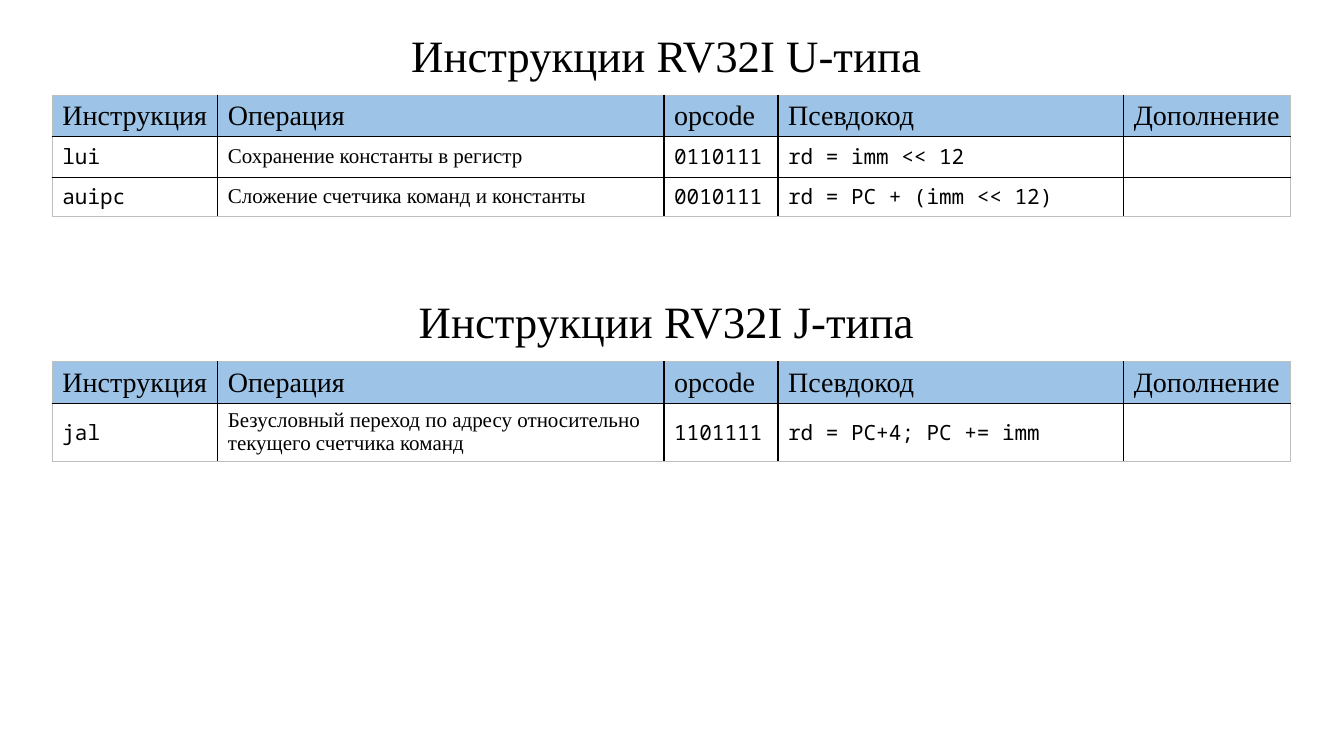
from lxml.etree import SubElement
from pptx import Presentation
from pptx.dml.color import RGBColor
from pptx.enum.text import MSO_ANCHOR, PP_ALIGN
from pptx.oxml.ns import qn
from pptx.util import Pt

SERIF, MONO = "Times New Roman", "Noto Sans Mono"
BLACK, GREY, HEADER_BLUE = "000000", "BFBFBF", "9DC3E6"
SLIDE_WIDTH, SLIDE_HEIGHT = 960, 540
TABLE_LEFT, TITLE_HEIGHT, TITLE_TO_TABLE = 37.4, 37.4, 44.2
COLUMN_WIDTHS = [118.2, 318.8, 81.4, 247, 118.8]
HEADERS = ["Инструкция", "Операция", "opcode", "Псевдокод", "Дополнение"]
HEADER_HEIGHT = 29.3
BODY_FONTS = [MONO, SERIF, MONO, MONO, SERIF]

U_TYPE = [
    ["lui", "Сохранение константы в регистр", "0110111", "rd = imm << 12", ""],
    ["auipc", "Сложение счетчика команд и константы", "0010111",
     "rd = PC + (imm << 12)", ""],
]
J_TYPE = [
    ["jal", "Безусловный переход по адресу относительно текущего счетчика команд",
     "1101111", "rd = PC+4; PC += imm", ""],
]


def color(value):
    return RGBColor.from_string(value)


def add_run(paragraph, text, size, font_name):
    run = paragraph.add_run()
    run.text = text
    run.font.size = Pt(size)
    run.font.name = font_name
    run.font.color.rgb = color(BLACK)


def format_title(shape, text, top):
    shape.left, shape.top = Pt(0), Pt(top)
    shape.width, shape.height = Pt(SLIDE_WIDTH), Pt(TITLE_HEIGHT)
    frame = shape.text_frame
    frame.word_wrap = True
    frame.vertical_anchor = MSO_ANCHOR.MIDDLE
    paragraph = frame.paragraphs[0]
    paragraph.alignment = PP_ALIGN.CENTER
    paragraph.line_spacing = 0.8
    paragraph.space_before = Pt(0)
    add_run(paragraph, text, 32, SERIF)


def set_borders(cell, outer_sides):
    """Draw grey lines on the outer sides of the table and black ones inside."""
    properties = cell._tc.get_or_add_tcPr()
    for side in "LRTB":
        line = SubElement(properties, qn(f"a:ln{side}"), w=str(Pt(1)))
        fill = SubElement(line, qn("a:solidFill"))
        SubElement(fill, qn("a:srgbClr"), val=GREY if side in outer_sides else BLACK)


def format_cell(cell, text, size, font_name, outer_sides, fill=None):
    cell.margin_top = cell.margin_bottom = Pt(2.8)
    cell.vertical_anchor = MSO_ANCHOR.MIDDLE
    set_borders(cell, outer_sides)
    if fill:
        cell.fill.solid()
        cell.fill.fore_color.rgb = color(fill)
    else:
        cell.fill.background()
    paragraph = cell.text_frame.paragraphs[0]
    if text:
        add_run(paragraph, text, size, font_name)
    else:
        paragraph.font.size = Pt(size)


def add_instruction_table(slide, top, instructions, body_heights):
    heights = [HEADER_HEIGHT, *body_heights]
    table = slide.shapes.add_table(
        len(heights), len(HEADERS), Pt(TABLE_LEFT), Pt(top),
        Pt(sum(COLUMN_WIDTHS)), Pt(sum(heights))).table
    table.first_row = table.horz_banding = False
    for column, width in zip(table.columns, COLUMN_WIDTHS):
        column.width = Pt(width)
    last_row, last_column = len(heights) - 1, len(HEADERS) - 1
    for i, (height, texts) in enumerate(zip(heights, [HEADERS, *instructions])):
        table.rows[i].height = Pt(height)
        for j, text in enumerate(texts):
            edges = {"L": j == 0, "R": j == last_column, "T": i == 0, "B": i == last_row}
            outer_sides = [side for side, is_outer in edges.items() if is_outer]
            if i == 0:
                format_cell(table.cell(i, j), text, 20, SERIF, outer_sides, HEADER_BLUE)
            else:
                format_cell(table.cell(i, j), text, 15, BODY_FONTS[j], outer_sides)


def add_section(slide, title_shape, title, top, instructions, body_heights):
    format_title(title_shape, title, top)
    add_instruction_table(slide, top + TITLE_TO_TABLE, instructions, body_heights)


def main():
    presentation = Presentation()
    presentation.slide_width = Pt(SLIDE_WIDTH)
    presentation.slide_height = Pt(SLIDE_HEIGHT)
    slide = presentation.slides.add_slide(presentation.slide_layouts[5])
    add_section(slide, slide.shapes.title, "Инструкции RV32I U-типа ", 23.8,
                U_TYPE, [29.3, 27.9])
    second_title = slide.shapes.add_textbox(
        Pt(0), Pt(0), Pt(SLIDE_WIDTH), Pt(TITLE_HEIGHT))
    add_section(slide, second_title, "Инструкции RV32I J-типа ", 214.2,
                J_TYPE, [40.7])
    presentation.save("out.pptx")


if __name__ == "__main__":
    main()
